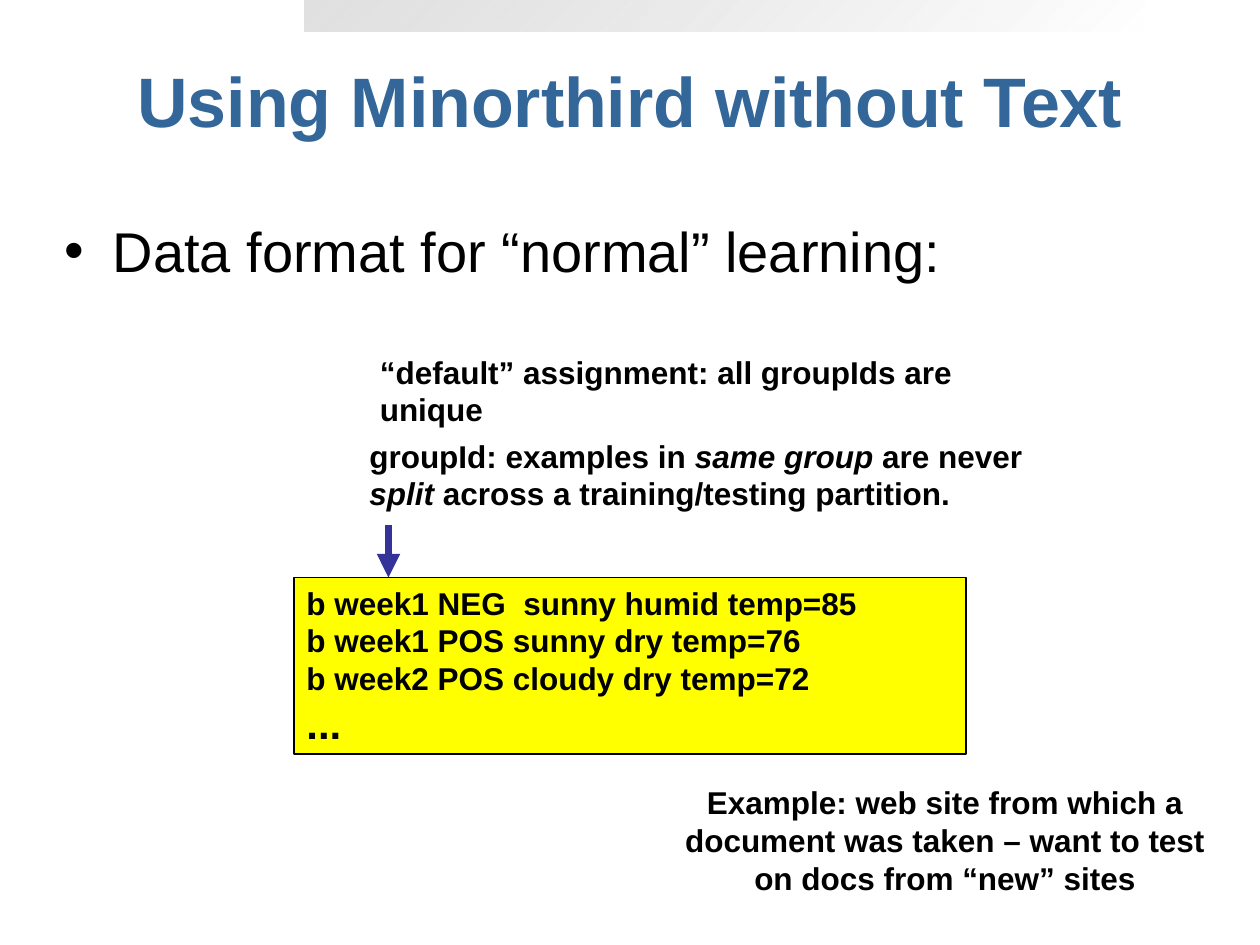
from lxml.etree import SubElement
from pptx import Presentation
from pptx.dml.color import RGBColor
from pptx.enum.shapes import MSO_CONNECTOR as CONN, MSO_SHAPE as SHAPE
from pptx.enum.text import MSO_ANCHOR as ANCHOR, MSO_AUTO_SIZE as AUTO, PP_ALIGN as ALIGN
from pptx.oxml.ns import qn
from pptx.util import Inches, Pt

COLS, ROWS = 120, 90  # twelve grid units to the inch
BLACK, WHITE, SILVER = "000000", "FFFFFF", "C0C0C0"
BLUE, INDIGO, YELLOW = "336699", "333399", "FFFF00"


def rgb(value):
    return RGBColor.from_string(value)


def add_xml(parent, tag, **attrs):
    return SubElement(parent, qn(tag), attrs)


def set_all(obj, values):
    for name, value in values.items():
        setattr(obj, name, value)


class Deck:
    """Holds the text style, the grid and the current slide."""

    font = {"name": "Arial", "size": Pt(18), "bold": True}

    def __init__(self, width=10, height=7.5):
        self.prs = Presentation()
        set_all(self.prs, {"slide_width": Inches(width), "slide_height": Inches(height)})
        self.s = self.prs.slides.add_slide(self.prs.slide_layouts[6])

    def grid(self, *units):
        """Turn alternating column and row counts into lengths."""
        steps = self.prs.slide_width / COLS, self.prs.slide_height / ROWS
        return [round(n * steps[i % 2]) for i, n in enumerate(units)]

    def add_runs(self, p, runs, color=BLACK, **font):
        """Add runs to a paragraph; text between asterisks is italic."""
        for i, text in enumerate(runs.split("*")):
            if text:
                r = p.add_run()
                r.text = text
                set_all(r.font, {**self.font, "italic": i % 2 == 1, **font})
                r.font.color.rgb = rgb(color)

    def text(self, at, runs, align=ALIGN.LEFT, anchor=ANCHOR.TOP, wrap=True,
             auto=AUTO.SHAPE_TO_FIT_TEXT, **font):
        tf = self.s.shapes.add_textbox(*self.grid(*at)).text_frame
        set_all(tf, {"word_wrap": wrap, "auto_size": auto, "vertical_anchor": anchor})
        p = tf.paragraphs[0]
        p.alignment = align
        self.add_runs(p, runs, **font)
        return p

    def bullet(self, at, runs, **font):
        p = self.text(at, runs, auto=AUTO.NONE, **font)
        p.space_before = Pt(8)
        pPr = p._p.get_or_add_pPr()
        indent = Inches(0.38)
        pPr.set("marL", str(indent))
        pPr.set("indent", str(-indent))
        add_xml(pPr, "a:buFont", typeface="Arial")
        add_xml(pPr, "a:buChar", char="•")

    def rect(self, at):
        sp = self.s.shapes.add_shape(SHAPE.RECTANGLE, *self.grid(*at))
        sp.shadow.inherit = False
        return sp

    def band(self, at, stops, angle):
        """Draw a borderless gradient; stops are (colour, opacity percent)."""
        sp = self.rect(at)
        sp.line.fill.background()
        sp.fill.gradient()
        sp.fill.gradient_angle = angle
        for stop, (color, _) in zip(sp.fill.gradient_stops, stops):
            stop.color.rgb = rgb(color)
        for clr, (_, opacity) in zip(sp._element.spPr.iter(qn("a:srgbClr")), stops):
            add_xml(clr, "a:alpha", val=str(opacity * 1000))

    def panel(self, at, lines, fill):
        """Draw a bordered box; lines are (text, size) pairs."""
        sp = self.rect(at)
        sp.fill.solid()
        sp.fill.fore_color.rgb = rgb(fill)
        sp.line.color.rgb = rgb(BLACK)
        sp.line.width = Pt(1)
        tf = sp.text_frame
        set_all(tf, {"word_wrap": True, "auto_size": AUTO.SHAPE_TO_FIT_TEXT,
                     "vertical_anchor": ANCHOR.TOP})
        for i, (line, size) in enumerate(lines):
            p = tf.add_paragraph() if i else tf.paragraphs[0]
            p.alignment = ALIGN.LEFT
            self.add_runs(p, line, size=Pt(size))

    def arrow(self, ends, color, width):
        cx = self.s.shapes.add_connector(CONN.STRAIGHT, *self.grid(*ends))
        cx.line.color.rgb = rgb(color)
        cx.line.width = Pt(width)
        add_xml(cx.line._get_or_add_ln(), "a:tailEnd", type="triangle")
        add_xml(cx._element.spPr, "a:effectLst")


def main():
    deck = Deck()
    deck.band((29, 0, 80, 3), [(WHITE, 68), (SILVER, 48)], angle=135)
    deck.text((6, 2, 108, 15), "Using Minorthird without Text", ALIGN.CENTER,
              ANCHOR.MIDDLE, auto=AUTO.NONE, color=BLUE, size=Pt(40))
    deck.bullet((5, 20, 112, 65), "Data format for “normal” learning:",
                size=Pt(32), bold=False)
    deck.panel((28, 55, 64, 16.8), [
        ("b week1 NEG  sunny humid temp=85", 18),
        ("b week1 POS sunny dry temp=76", 18),
        ("b week2 POS cloudy dry temp=72", 18),
        ("...", 24),
    ], YELLOW)
    deck.arrow((37, 50, 37, 55), INDIGO, 4.5)
    deck.text((34, 41, 65, 8.4), "groupId: examples in *same group* are never "
              "*split* across a training/testing partition.")
    deck.text((64, 74, 52, 12), "Example: web site from which a document was taken "
              "– want to test on docs from “new” sites", ALIGN.CENTER)
    deck.text((35, 33, 67.5, 4.8), "“default” assignment: all groupIds are unique",
              wrap=False)
    deck.prs.save("out.pptx")


if __name__ == "__main__":
    main()
